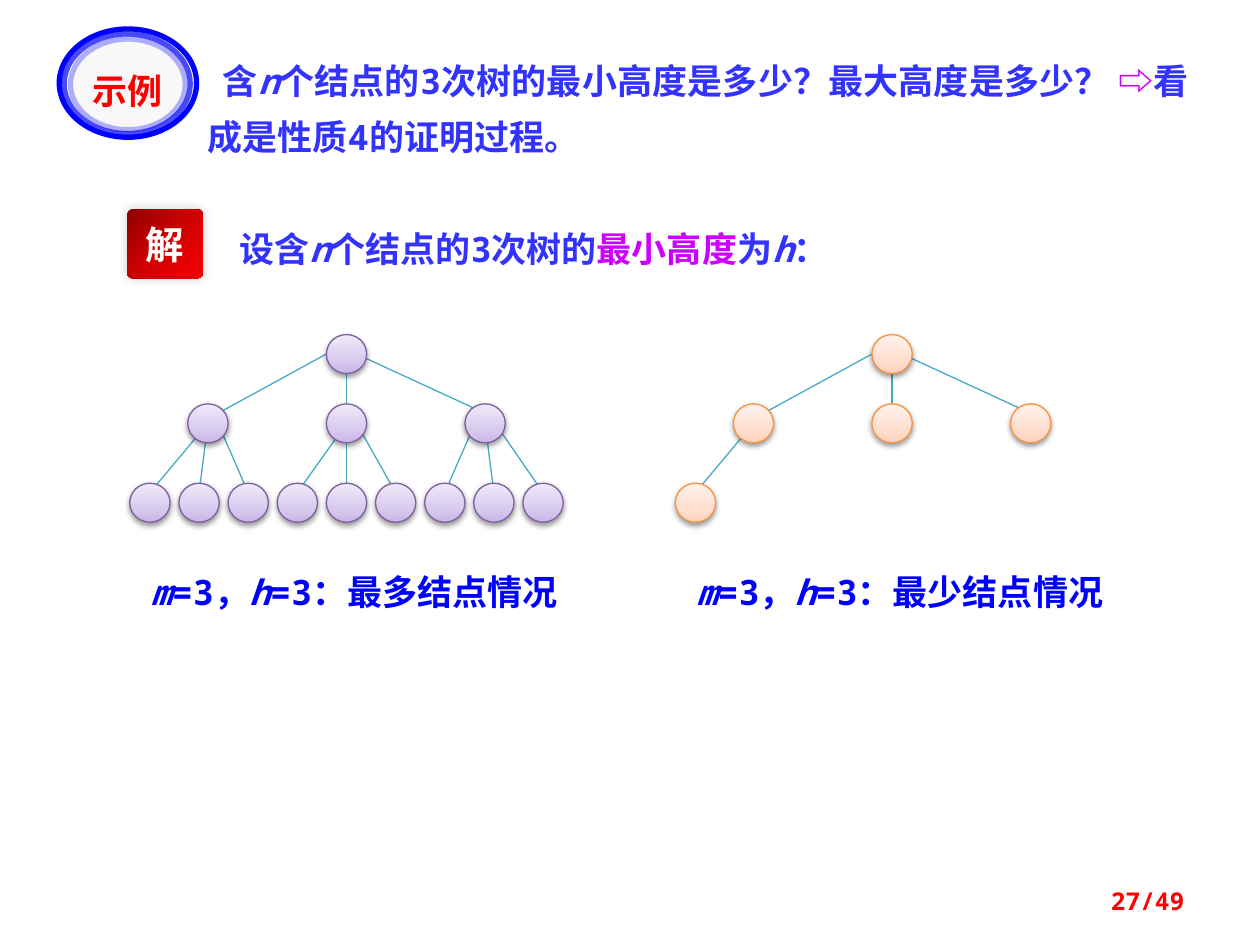
from dataclasses import dataclass

from lxml.etree import SubElement
from pptx import Presentation
from pptx.dml.color import RGBColor
from pptx.enum.shapes import MSO_CONNECTOR as CONN, MSO_SHAPE as SHAPE
from pptx.enum.text import MSO_ANCHOR as ANCHOR, PP_ALIGN as ALIGN
from pptx.oxml.ns import qn
from pptx.util import Inches, Pt


@dataclass(frozen=True)
class Theme:
    """Colours, fonts and type sizes."""
    mono: str = "Noto Sans Mono"
    cjk: str = "Noto Sans CJK SC"
    badge_font: str = "Noto Sans CJK JP"
    body: int = 20
    answer: int = 22
    page: int = 14
    blue: str = "3333FF"
    pure_blue: str = "0000FF"
    magenta: str = "CC00FF"
    red: str = "FF0000"
    white: str = "FFFFFF"
    badge: str = "F8F8F8"
    edge: str = "46AAC5"
    purple: tuple = ("7D60A0", ((0, "C9B5E8"), (35, "D8CBEE"), (100, "F0EAF9")))
    orange: tuple = ("F69240", ((0, "FFD2BD"), (35, "FFDED0"), (100, "FFF2ED")))
    crimson: tuple = ((0, "8F0000"), (50, "CF0001"), (100, "F60004"))


T = Theme()
NODE_W, NODE_H = 0.32, 0.31
ROOT_Y, CHILD_Y, LEAF_Y = 2.81, 3.36, 3.99
CHILD_GAP, LEAF_GAP = 1.1, 0.39


def rgb(value):
    """Turn a hex string into a colour."""
    return RGBColor.from_string(value)


def box(left, top, width, height):
    """Give a frame in inches."""
    return [Inches(v) for v in (left, top, width, height)]


def write(tf, runs, font=T.mono, size=T.body, color=T.blue, bold=True,
          align=None, spacing=None, anchor=ANCHOR.TOP, wrap=True, margin=0, indent=0):
    """Write runs, each a string or (string, overrides), into one paragraph."""
    tf.word_wrap, tf.vertical_anchor = wrap, anchor
    p = tf.paragraphs[0]
    p.alignment, p.line_spacing = align, spacing
    if margin or indent:
        pPr = p._p.get_or_add_pPr()
        pPr.set("marL", str(Inches(margin)))
        pPr.set("indent", str(Inches(indent)))
    for run in runs:
        text, extra = (run, {}) if isinstance(run, str) else run
        r = p.add_run()
        r.text = text
        r.font.name, r.font.size, r.font.bold = font, Pt(size), bold
        r.font.italic = extra.get("italic", False)
        r.font.color.rgb = rgb(extra.get("color", color))
        SubElement(r._r.get_or_add_rPr(), qn("a:ea"),
                   typeface=T.cjk if font == T.mono else font)


def add_text(shapes, frame, runs, **fmt):
    """Add a text box."""
    write(shapes.add_textbox(*box(*frame)).text_frame, runs, **fmt)


def add_shape(shapes, kind, frame, fill=None, line=None, width=0.75):
    """Add a flat shape with an optional fill and outline."""
    sp = shapes.add_shape(kind, *box(*frame))
    sp.shadow.inherit = False
    if fill:
        sp.fill.solid()
        sp.fill.fore_color.rgb = rgb(fill)
    else:
        sp.fill.background()
    if line:
        sp.line.color.rgb, sp.line.width = rgb(line), Pt(width)
    else:
        sp.line.fill.background()
    return sp


def set_gradient(sp, stops, angle):
    """Fill a shape with a linear gradient."""
    sp.fill.gradient()
    sp.fill.gradient_angle = angle
    stop_list = sp._element.spPr.find(".//" + qn("a:gsLst"))
    for old in list(stop_list):
        stop_list.remove(old)
    for pos, color in stops:
        gs = SubElement(stop_list, qn("a:gs"), pos=str(pos * 1000))
        SubElement(gs, qn("a:srgbClr"), val=color)


def set_shadow(sp, alpha, blur, dist, angle):
    """Give a shape a black outer shadow."""
    effects = sp._element.spPr.find(qn("a:effectLst"))
    shadow = SubElement(effects, qn("a:outerShdw"), blurRad=str(Pt(blur)),
                        dist=str(Pt(dist)), dir=str(angle * 60000), rotWithShape="0")
    color = SubElement(shadow, qn("a:srgbClr"), val="000000")
    SubElement(color, qn("a:alpha"), val=str(alpha * 1000))


def add_edge(shapes, x1, y1, x2, y2):
    """Add a tree edge."""
    line = shapes.add_connector(CONN.STRAIGHT, *box(x1, y1, x2, y2))
    line.line.color.rgb, line.line.width = rgb(T.edge), Pt(0.75)
    SubElement(line._element.spPr, qn("a:effectLst"))


def add_node(shapes, x, y, look):
    """Add a tree node centred on a point."""
    outline, stops = look
    frame = (x - NODE_W / 2, y - NODE_H / 2, NODE_W, NODE_H)
    sp = add_shape(shapes, SHAPE.OVAL, frame, line=outline)
    set_gradient(sp, stops, 90)
    set_shadow(sp, 38, 3.1, 1.6, 90)


def add_tree(s, x, leaf_count, look, caption):
    """Add a three-way tree with its root at x, and its caption."""
    shapes = s.shapes.add_group_shape().shapes
    children = [x + CHILD_GAP * i for i in (-1, 0, 1)]
    leaves = [x + LEAF_GAP * (i - 4) for i in range(leaf_count)]
    root_ends = ((-0.16, 0.08), (0, 0), (0.08, 0))
    for child, (start, end) in zip(children, root_ends):
        add_edge(shapes, x + start, ROOT_Y, child + end, CHILD_Y - 0.08)
    leaf_starts = (0, 0, 0.08, 0, 0, 0.08, -0.08, 0, 0.08)
    for i, (leaf, start) in enumerate(zip(leaves, leaf_starts)):
        add_edge(shapes, children[i // 3] + start, CHILD_Y, leaf, LEAF_Y - 0.08)
    levels = ((ROOT_Y, [x]), (CHILD_Y, children), (LEAF_Y, leaves))
    for y, centres in levels:
        for centre in centres:
            add_node(shapes, centre, y, look)
    add_text(shapes, (x - 1.65, 4.48, 3.7, 0.44),
             [("m", {"italic": True}), "=3，", ("h", {"italic": True}), caption],
             color=T.pure_blue)


def add_example_badge(s):
    """Add the ringed badge."""
    shapes = s.shapes.add_group_shape().shapes
    rings = (((0.47, 0.23, 1.09, 0.86), T.badge, 100),
             ((0.51, 0.27, 1, 0.79), None, 70),
             ((0.56, 0.31, 0.91, 0.72), None, 30))
    for frame, fill, alpha in rings:
        sp = add_shape(shapes, SHAPE.OVAL, frame, fill, T.pure_blue, 3)
        color = sp.line._ln.find(".//" + qn("a:srgbClr"))
        SubElement(color, qn("a:alpha"), val=str(alpha * 1000))
    add_text(shapes, (0.53, 0.5, 0.96, 0.39), ["示例"], font=T.badge_font,
             color=T.red, align=ALIGN.CENTER)


def add_answer_badge(s):
    """Add the red answer tile."""
    sp = add_shape(s.shapes, SHAPE.ROUNDED_RECTANGLE, (1.01, 1.66, 0.6, 0.55))
    sp.adjustments[0] = 0.08
    set_gradient(sp, T.crimson, 315)
    set_shadow(sp, 20, 6, 0, 225)
    write(sp.text_frame, ["解"], font=T.cjk, size=T.answer, color=T.white,
          align=ALIGN.CENTER, anchor=ANCHOR.MIDDLE, wrap=False)


def main():
    """Build the slide."""
    prs = Presentation()
    prs.slide_width, prs.slide_height = Inches(10), Inches(7.5)
    s = prs.slides.add_slide(prs.slide_layouts[6])
    n, h = ("n", {"italic": True}), ("h", {"italic": True})
    add_text(s.shapes, (1.8, 1.72, 5.78, 0.47),
             ["设含", n, "个结点的3次树的", ("最小高度", {"color": T.magenta}),
              "为", h, "："], spacing=1.1)
    add_text(s.shapes, (1.48, 0.31, 8.05, 1),
             ["含", n, "个结点的3次树的最小高度是多少？最大高度是多少？ ",
              ("⇨", {"color": T.magenta}), "看成是性质4的证明过程。"],
             align=ALIGN.JUSTIFY, spacing=Pt(32), margin=0.07, indent=0.12)
    add_tree(s, 2.75, 9, T.purple, "=3：最多结点情况")
    add_tree(s, 7.08, 1, T.orange, "=3：最少结点情况")
    add_example_badge(s)
    add_text(s.shapes, (7.17, 6.95, 2.33, 0.4), ["27/49"], size=T.page,
             color=T.red, align=ALIGN.RIGHT, anchor=ANCHOR.MIDDLE)
    add_answer_badge(s)
    prs.save("out.pptx")


if __name__ == "__main__":
    main()
